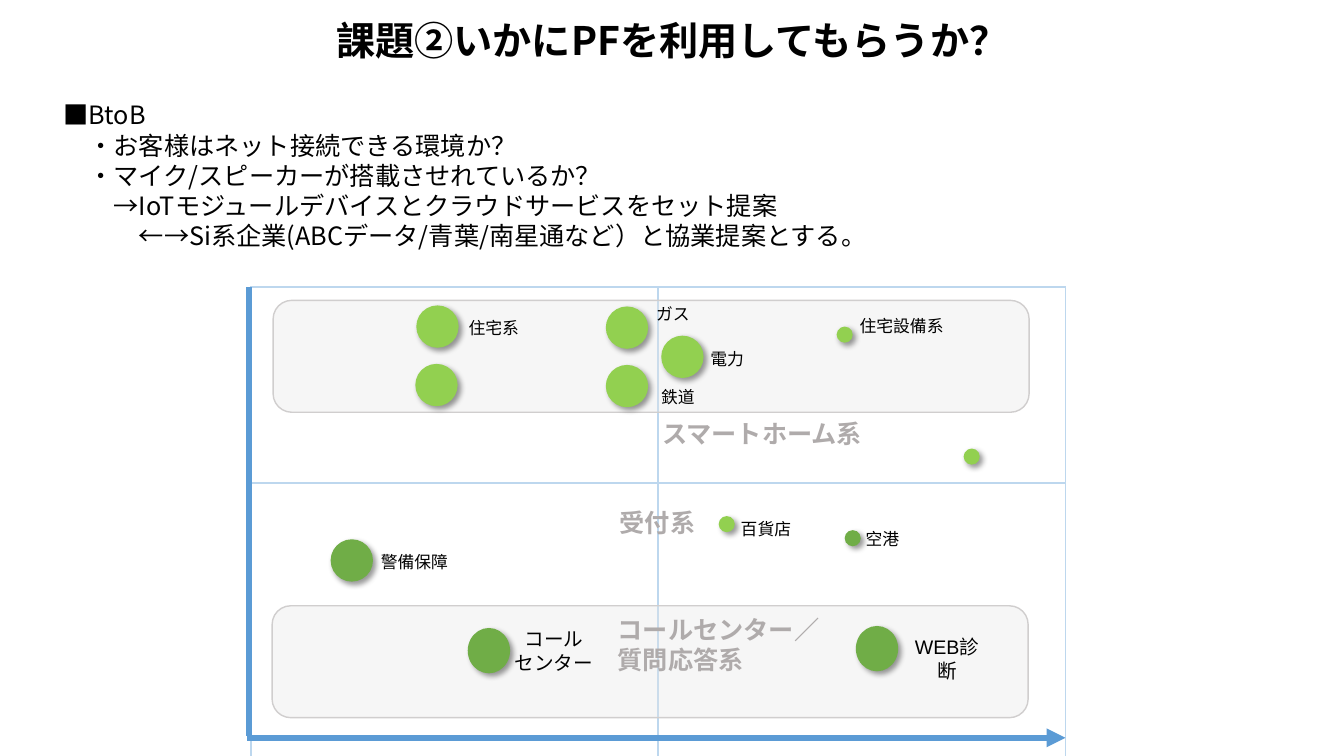
from dataclasses import dataclass

from lxml import etree
from pptx import Presentation, util as u
from pptx.dml.color import RGBColor
from pptx.enum import shapes, text
from pptx.oxml import ns

CELL = u.Inches(0.1)
COLUMNS, ROWS = 133.33, 75

BLACK = RGBColor(0x00, 0x00, 0x00)
CAPTION_GRAY = RGBColor(0xAF, 0xAB, 0xAB)
PANEL_FILL = RGBColor(0xE7, 0xE6, 0xE6)
PANEL_LINE = RGBColor(0xD0, 0xCE, 0xCE)
AXIS_BLUE = RGBColor(0x5B, 0x9B, 0xD5)
GRID_BLUE = RGBColor(0xBD, 0xD7, 0xEE)
LIME = RGBColor(0x92, 0xD0, 0x50)
GREEN = RGBColor(0x70, 0xAD, 0x47)
LATIN_FONT, JAPANESE_FONT = "Arial", "Noto Sans CJK JP"
LEFT, CENTER = text.PP_ALIGN.LEFT, text.PP_ALIGN.CENTER


@dataclass(frozen=True)
class Label:
    words: str
    column: float
    row: float
    columns: float
    rows: float = 3
    size: float = 12
    color: RGBColor = BLACK
    bold: bool = False
    font: str = LATIN_FONT
    align: text.PP_ALIGN = LEFT
    wrap: bool = False
    indents: tuple[float, ...] = ()


@dataclass(frozen=True)
class Bubble:
    column: float
    row: float
    color: RGBColor = LIME
    columns: float = 4.2
    rows: float = 4.2


@dataclass(frozen=True)
class Axis:
    start: tuple[float, float]
    end: tuple[float, float]
    arrow: bool = False


TITLE = Label("課題②いかにPFを利用してもらうか？", 9.2, 1.9, 115, 4.7, 28,
              bold=True, font=JAPANESE_FONT, align=CENTER, wrap=True)
BODY = Label("■BtoB\n・お客様はネット接続できる環境か？\n"
             "・マイク/スピーカーが搭載させれているか？\n"
             "→IoTモジュールデバイスとクラウドサービスをセット提案\n"
             "←→Si系企業(ABCデータ/青葉/南星通など）と協業提案とする。",
             5.3, 9.4, 125.7, 16.2, 18, font=JAPANESE_FONT, wrap=True,
             indents=(0, 2.5, 2.5, 5, 7.5))
LABELS = [
    Label("警備保障", 36.8, 54.2, 8.8),
    Label("空港", 84.9, 52, 5.4),
    Label("住宅設備系", 84.3, 30.8, 10.4),
    Label("住宅系", 45.5, 31, 7.1),
    Label("百貨店", 72.5, 51, 7.1),
    Label("ガス", 64.1, 29.6, 5.4),
    Label("電力", 69.5, 34.1, 5.4),
    Label("鉄道", 64.6, 37.9, 5.4),
    Label("コール\nセンター", 50, 61.7, 9.9, 5.7, 14, align=CENTER),
    Label("WEB診断", 88.8, 62.5, 10.3, 3.4, 14, align=CENTER, wrap=True),
    Label("スマートホーム系", 64.7, 41, 22.2, 4, 18, CAPTION_GRAY, True),
    Label("コールセンター／\n質問応答系", 60.3, 60.4, 22.2, 7.1, 18, CAPTION_GRAY, True),
    Label("受付系", 60.5, 49.8, 9.6, 4, 18, CAPTION_GRAY, True),
]
SMALL = 1.6
BUBBLES = [
    Bubble(41.2, 36.1), Bubble(41.3, 30.3),
    Bubble(60.1, 30.4), Bubble(60.1, 36.2), Bubble(65.6, 33.3),
    Bubble(32.8, 53.5, GREEN),
    Bubble(46.4, 62.3, GREEN, rows=4.5), Bubble(84.9, 62.1, GREEN, rows=4.5),
    Bubble(83.8, 52.6, GREEN, SMALL, SMALL),
    Bubble(83, 32.4, LIME, SMALL, SMALL),
    Bubble(95.6, 44.5, LIME, SMALL, SMALL),
    Bubble(71.3, 51.2, LIME, SMALL, SMALL),
]
PANELS = [(27, 60.1), (27.1, 29.8)]
AXES = [Axis((24.5, 73.2), (105.7, 73.2), True), Axis((24.7, 73), (24.7, 28.5))]


def cells(*counts: float) -> list[u.Emu]:
    return [u.Emu(round(count * CELL)) for count in counts]


def add_child(parent, tag: str, **attributes):
    return etree.SubElement(parent, ns.qn(tag), attributes)


def add_color(parent, color: RGBColor, opacity: int = 100) -> None:
    node = add_child(parent, "a:srgbClr", val=str(color))
    if opacity < 100:
        add_child(node, "a:alpha", val=str(opacity * 1000))


def add_label(slide, label: Label) -> None:
    box = slide.shapes.add_textbox(
        *cells(label.column, label.row, label.columns, label.rows))
    frame = box.text_frame
    frame.text = label.words
    frame.word_wrap = label.wrap
    if label is TITLE:
        frame.vertical_anchor = text.MSO_ANCHOR.MIDDLE
    for paragraph in frame.paragraphs:
        paragraph.alignment = label.align
        if label is TITLE:
            paragraph.line_spacing = 0.9
        for run in paragraph.runs:
            run.font.size = u.Pt(label.size)
            run.font.bold = label.bold
            run.font.color.rgb = label.color
            run.font.name = label.font
            add_child(run.font._element, "a:ea", typeface=JAPANESE_FONT)
    for paragraph, indent in zip(frame.paragraphs, label.indents):
        properties = paragraph._p.get_or_add_pPr()
        properties.set("marL", str(cells(indent)[0]))
        properties.set("indent", "0")


def add_bubble(slide, bubble: Bubble) -> None:
    shape = slide.shapes.add_shape(
        shapes.MSO_SHAPE.OVAL,
        *cells(bubble.column, bubble.row, bubble.columns, bubble.rows))
    shape.fill.solid()
    shape.fill.fore_color.rgb = bubble.color
    shape.line.fill.background()
    shape.shadow.inherit = False
    effects = shape._element.spPr.find(ns.qn("a:effectLst"))
    shadow = add_child(effects, "a:outerShdw", blurRad=str(u.Pt(4)),
                       dist=str(u.Pt(3)), dir=str(45 * 60000),
                       algn="tl", rotWithShape="0")
    add_color(shadow, BLACK, 40)


def add_panel(slide, column: float, row: float) -> None:
    shape = slide.shapes.add_shape(
        shapes.MSO_SHAPE.ROUNDED_RECTANGLE, *cells(column, row, 75, 11.1))
    shape.shadow.inherit = False
    shape.fill.solid()
    shape.fill.fore_color.rgb = PANEL_FILL
    fill_color = shape._element.spPr.find(ns.qn("a:solidFill"))[0]
    add_child(fill_color, "a:alpha", val="35000")
    shape.line.color.rgb = PANEL_LINE
    shape.line.width = u.Pt(1)


def add_axis(slide, axis: Axis) -> None:
    connector = slide.shapes.add_connector(
        shapes.MSO_CONNECTOR.STRAIGHT, *cells(*axis.start, *axis.end))
    connector.line.color.rgb = AXIS_BLUE
    connector.line.width = u.Pt(4.5)
    properties = connector._element.spPr
    if axis.arrow:
        add_child(properties.find(ns.qn("a:ln")), "a:tailEnd", type="triangle")
    add_child(properties, "a:effectLst")


def add_quadrants(slide) -> None:
    table = slide.shapes.add_table(2, 2, *cells(24.9, 28.5, 80.8, 46.6)).table
    table.first_row = table.horz_banding = False
    for column in table.columns:
        column.width = cells(40.4)[0]
    for row, height in zip(table.rows, cells(19.4, 27.2)):
        row.height = height
    for cell in table.iter_cells():
        properties = cell._tc.get_or_add_tcPr()
        for side in ("a:lnL", "a:lnR", "a:lnT", "a:lnB"):
            border = add_child(properties, side, w=str(u.Pt(1.5)))
            add_color(add_child(border, "a:solidFill"), GRID_BLUE)
        cell.fill.background()


def main() -> None:
    presentation = Presentation()
    presentation.slide_width, presentation.slide_height = cells(COLUMNS, ROWS)
    slide = presentation.slides.add_slide(presentation.slide_layouts[6])
    add_label(slide, TITLE)
    add_label(slide, BODY)
    add_quadrants(slide)
    for column, row in PANELS:
        add_panel(slide, column, row)
    for axis in AXES:
        add_axis(slide, axis)
    for bubble in BUBBLES:
        add_bubble(slide, bubble)
    for label in LABELS:
        add_label(slide, label)
    presentation.save("out.pptx")


main()
